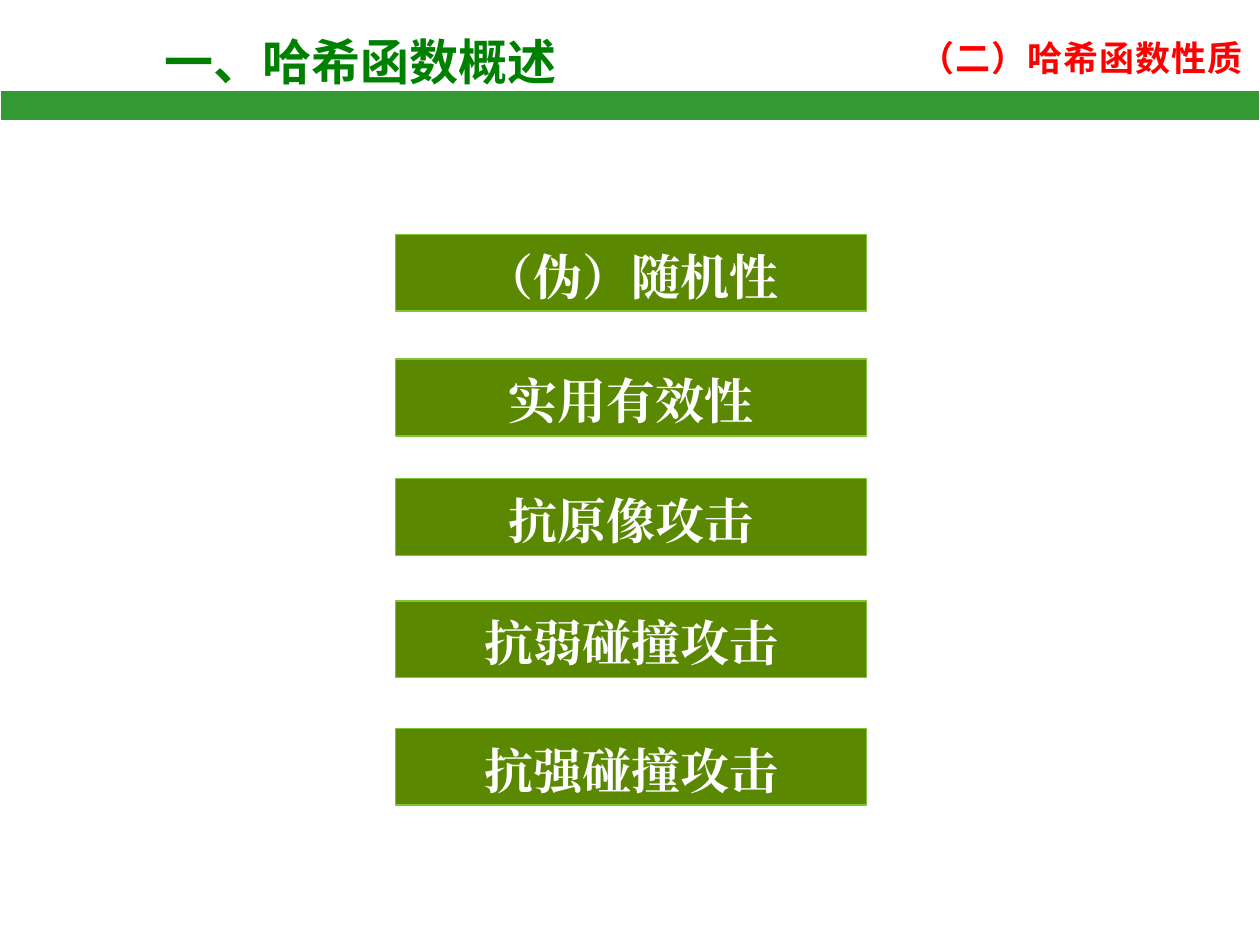
from pptx import Presentation
from pptx.dml.color import RGBColor
from pptx.enum.shapes import MSO_SHAPE
from pptx.enum.text import MSO_ANCHOR, PP_ALIGN
from pptx.oxml.ns import qn
from pptx.util import Inches, Pt
from lxml import etree

RECTANGLE = MSO_SHAPE.RECTANGLE
TOP, MIDDLE = MSO_ANCHOR.TOP, MSO_ANCHOR.MIDDLE
CENTER = PP_ALIGN.CENTER

WHITE = RGBColor(0xFF, 0xFF, 0xFF)
RED = RGBColor(0xFF, 0x00, 0x00)
TITLE_GREEN = RGBColor(0x00, 0x80, 0x00)
BAR_GREEN = RGBColor(0x33, 0x99, 0x33)
BOX_GREEN = RGBColor(0x5A, 0x88, 0x00)
BOX_EDGE = RGBColor(0x80, 0xC5, 0x35)

HEADING_FONT = "Noto Sans CJK SC"
BOX_FONT = "Times New Roman"

PROPERTIES = [
    ("（伪）随机性", 1.86),
    ("实用有效性", 2.85),
    ("抗原像攻击", 3.8),
    ("抗弱碰撞攻击", 4.77),
    ("抗强碰撞攻击", 5.78),
]


def set_attributes(target, values):
    for name, value in values.items():
        setattr(target, name, value)


def write_text(shape, text, font_name, size, color, anchor, wrap=True, spacing=None):
    set_attributes(shape.text_frame, {
        "word_wrap": wrap,
        "vertical_anchor": anchor,
        "margin_top": 0,
        "margin_bottom": 0,
    })
    paragraph = shape.text_frame.paragraphs[0]
    run = paragraph.add_run()
    run.text = text
    set_attributes(run.font, {"name": font_name, "size": Pt(size), "bold": True})
    run.font.color.rgb = color
    properties = run._r.get_or_add_rPr()
    etree.SubElement(properties, qn("a:ea")).set("typeface", font_name)
    if spacing:
        properties.set("spc", str(int(spacing * 100)))
    return paragraph


def add_heading(slide, position, text, size, color, **options):
    shape = slide.shapes.add_textbox(*map(Inches, position))
    write_text(shape, text, HEADING_FONT, size, color, MIDDLE, **options)


def add_rectangle(slide, position, fill, edge):
    shape = slide.shapes.add_shape(RECTANGLE, *map(Inches, position))
    shape.shadow.inherit = False
    shape.fill.solid()
    shape.fill.fore_color.rgb = fill
    shape.line.color.rgb = edge
    shape.line.width = Pt(0.75)
    return shape


def add_property_box(slide, text, top):
    shape = add_rectangle(slide, (3.14, top, 3.74, 0.61), BOX_GREEN, BOX_EDGE)
    paragraph = write_text(shape, text, BOX_FONT, 28, WHITE, TOP)
    set_attributes(paragraph, {
        "alignment": CENTER,
        "line_spacing": 1.2,
        "space_before": Pt(6),
    })


def main():
    presentation = Presentation()
    set_attributes(presentation, {"slide_width": Inches(10), "slide_height": Inches(7.5)})
    slide = presentation.slides.add_slide(presentation.slide_layouts[6])
    add_heading(slide, (7.2, 0.24, 2.81, 0.44), "（二）哈希函数性质", 20, RED,
                wrap=False, spacing=0.5)
    add_heading(slide, (1.21, 0.2, 4.47, 0.57), "一、哈希函数概述", 28, TITLE_GREEN)
    add_rectangle(slide, (0, 0.72, 10, 0.24), BAR_GREEN, WHITE)
    for text, top in PROPERTIES:
        add_property_box(slide, text, top)
    presentation.save("out.pptx")


if __name__ == "__main__":
    main()
